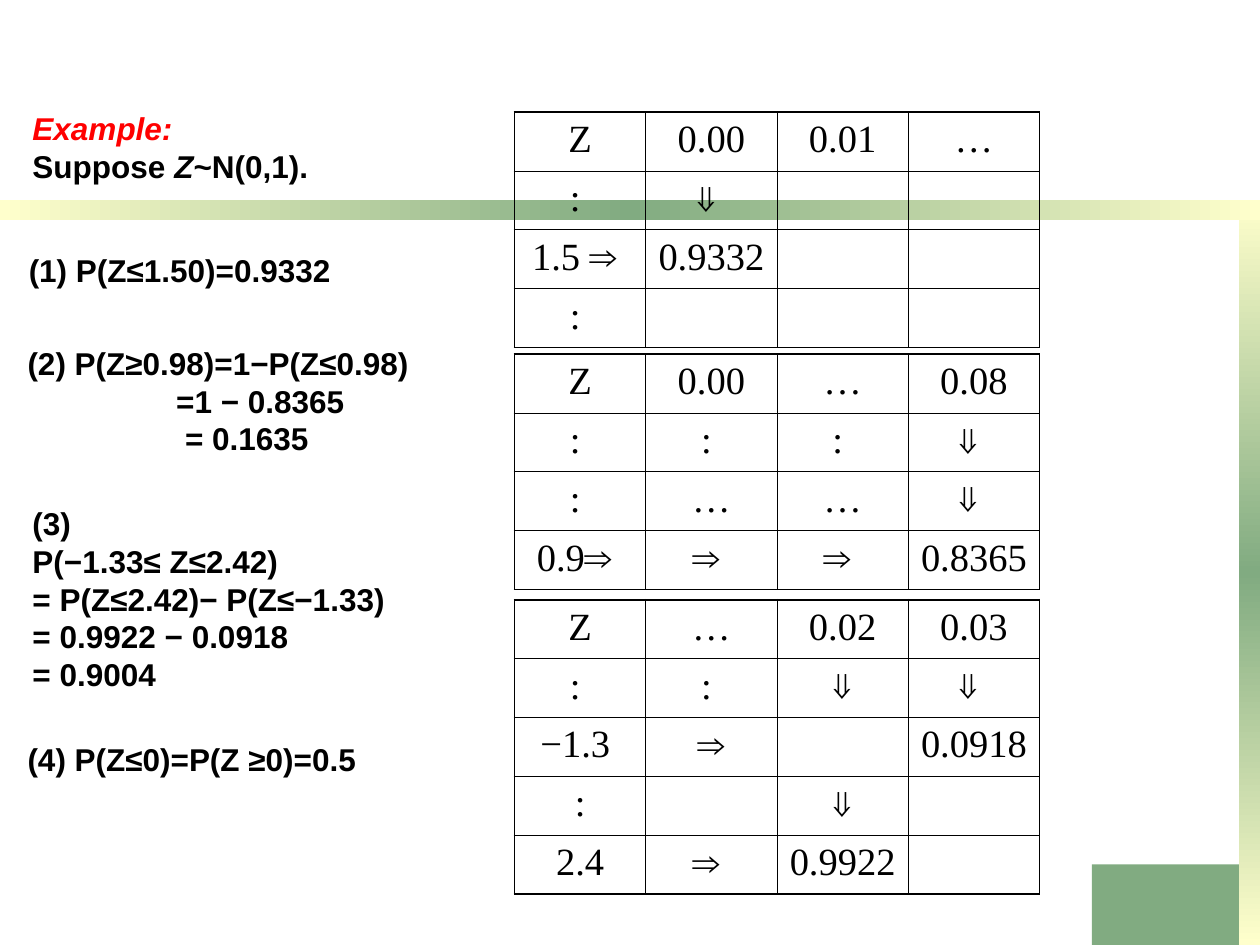
from dataclasses import dataclass
from copy import deepcopy

from lxml import etree
from pptx import Presentation, util as u
from pptx.dml.color import RGBColor
from pptx.enum import shapes, text
from pptx.oxml import ns

BLACK = RGBColor(0x00, 0x00, 0x00)
RED = RGBColor(0xFF, 0x00, 0x00)
GREEN = RGBColor(0x81, 0xAB, 0x81)
CREAM = RGBColor(0xFF, 0xFF, 0xCC)
SANS, SERIF = "Arial", "Times New Roman"
WIDTH, HEIGHT = u.Inches(10), u.Inches(7.5)

# Tables share one grid, in percent of the slide
TABLE_LEFT, COLUMN_WIDTH, ROW_HEIGHT = 40.83, 10.42, 6.23
OUTER_LINE, INNER_LINE = 1.08, 0.45
ARROWS = "⇒⇓"


@dataclass
class Area:
    """Position and size in percent of the slide."""
    left: float
    top: float
    width: float
    height: float

    def box(self) -> tuple[int, int, int, int]:
        return (across(self.left), down(self.top),
                across(self.width), down(self.height))


@dataclass
class Span:
    words: str
    italic: bool = False
    color: RGBColor = BLACK


@dataclass
class Line:
    spans: list[Span]
    indent: float = 0


@dataclass
class Note:
    area: Area
    lines: list[Line]


@dataclass
class Lookup:
    top: float
    rows: list[list[str]]


def across(percent: float) -> int:
    return int(WIDTH * percent / 100)


def down(percent: float) -> int:
    return int(HEIGHT * percent / 100)


def plain(*lines: str) -> list[Line]:
    return [Line([Span(words)]) for words in lines]


def add_panel(page, area: Area):
    panel = page.shapes.add_shape(shapes.MSO_SHAPE.RECTANGLE, *area.box())
    panel.shadow.inherit = False
    panel.line.fill.background()
    panel.fill.solid()
    panel.fill.fore_color.rgb = GREEN
    return panel


def add_band(page, area: Area, angle: int) -> None:
    """A band that runs from cream through green to cream."""
    fill = add_panel(page, area).fill
    fill.gradient()
    fill.gradient_angle = angle
    first, last = fill.gradient_stops
    for stop, position in ((first, 0), (last, 1)):
        stop.color.rgb = CREAM
        stop.position = position
    stops = fill._fill._gradFill.gsLst
    stops.insert(1, deepcopy(stops[0]))
    middle = fill.gradient_stops[1]
    middle.color.rgb = GREEN
    middle.position = 0.5


def add_note(page, note: Note) -> None:
    frame = page.shapes.add_textbox(*note.area.box()).text_frame
    frame.word_wrap = True
    for index, line in enumerate(note.lines):
        para = frame.add_paragraph() if index else frame.paragraphs[0]
        para.alignment = text.PP_ALIGN.LEFT
        if line.indent:
            para._p.get_or_add_pPr().set("marL", str(across(line.indent)))
        for span in line.spans:
            run = para.add_run()
            run.text = span.words
            font = run.font
            font.name, font.size, font.bold = SANS, u.Pt(18), True
            font.italic, font.color.rgb = span.italic, span.color


def set_borders(cell, widths: dict[str, float]) -> None:
    properties = cell._tc.get_or_add_tcPr()
    for index, (side, points) in enumerate(widths.items()):
        line = etree.Element(ns.qn(f"a:ln{side}"), w=str(u.Pt(points)))
        fill = etree.SubElement(line, ns.qn("a:solidFill"))
        etree.SubElement(fill, ns.qn("a:srgbClr"), val=str(BLACK))
        properties.insert(index, line)


def fill_cell(cell, words: str) -> None:
    """Arrows are set in the sans font, everything else in the serif one."""
    cell.fill.background()
    para = cell.text_frame.paragraphs[0]
    para.alignment = text.PP_ALIGN.CENTER
    start = next((i for i, sign in enumerate(words) if sign in ARROWS), len(words))
    for part, name in ((words[:start], SERIF), (words[start:], SANS)):
        if part:
            run = para.add_run()
            run.text = part
            run.font.name, run.font.size = name, u.Pt(22)
            run.font.color.rgb = BLACK


def add_lookup(page, lookup: Lookup) -> None:
    rows, columns = len(lookup.rows), len(lookup.rows[0])
    area = Area(TABLE_LEFT, lookup.top, columns * COLUMN_WIDTH, rows * ROW_HEIGHT)
    table = page.shapes.add_table(rows, columns, *area.box()).table
    table.first_row = table.horz_banding = False
    for r, entries in enumerate(lookup.rows):
        for c, words in enumerate(entries):
            cell = table.cell(r, c)
            fill_cell(cell, words)
            edges = {"L": c == 0, "R": c == columns - 1,
                     "T": r == 0, "B": r == rows - 1}
            set_borders(cell, {side: OUTER_LINE if outer else INNER_LINE
                               for side, outer in edges.items()})


NOTES = [
    Note(Area(1.6, 10.93, 48.3, 9.33), [
        Line([Span("Example:", True, RED)]),
        Line([Span("Suppose "), Span("Z", True), Span("~N(0,1).")])]),
    Note(Area(1.3, 25.87, 35.8, 5.33), plain("(1) P(Z≤1.50)=0.9332")),
    Note(Area(1.2, 35.73, 35.8, 13.33), [
        *plain("(2) P(Z≥0.98)=1−P(Z≤0.98)"),
        Line([Span("=1 − 0.8365")], 11.8),
        Line([Span("= 0.1635")], 12.5)]),
    Note(Area(1.6, 52.67, 43.3, 21.33), plain(
        "(3)", "P(−1.33≤ Z≤2.42)", "= P(Z≤2.42)− P(Z≤−1.33)",
        "= 0.9922 − 0.0918", "= 0.9004")),
    Note(Area(1.2, 77.6, 39.2, 5.33), plain("(4) P(Z≤0)=P(Z ≥0)=0.5")),
]

LOOKUPS = [
    Lookup(11.87, [["Z", "0.00", "0.01", "…"],
                   [": ", "⇓ ", "", ""],
                   ["1.5 ⇒ ", "0.9332", "", ""],
                   [": ", "", "", ""]]),
    Lookup(37.47, [["Z", "0.00", "…", "0.08"],
                   [": ", ": ", ": ", "⇓ "],
                   [": ", "…", "…", "⇓ "],
                   ["0.9⇒ ", "⇒ ", "⇒ ", "0.8365"]]),
    Lookup(63.47, [["Z", "…", "0.02", "0.03"],
                   [": ", ": ", "⇓", "⇓ "],
                   ["−1.3 ", "⇒", "", "0.0918"],
                   [":", "", "⇓", ""],
                   ["2.4", "⇒ ", "0.9922 ", ""]]),
]


def main() -> None:
    deck = Presentation()
    deck.slide_width, deck.slide_height = WIDTH, HEIGHT
    page = deck.slides.add_slide(deck.slide_layouts[6])

    # Corner block and gradient bands
    add_panel(page, Area(86.67, 91.47, 13.33, 8.53))
    add_band(page, Area(98.33, 21.13, 1.67, 78.87), 90)
    add_band(page, Area(0, 21.13, 100, 2.2), 0)

    # Worked steps and the lookup tables beside them
    for note in NOTES:
        add_note(page, note)
    for lookup in LOOKUPS:
        add_lookup(page, lookup)

    deck.save("out.pptx")


if __name__ == "__main__":
    main()
